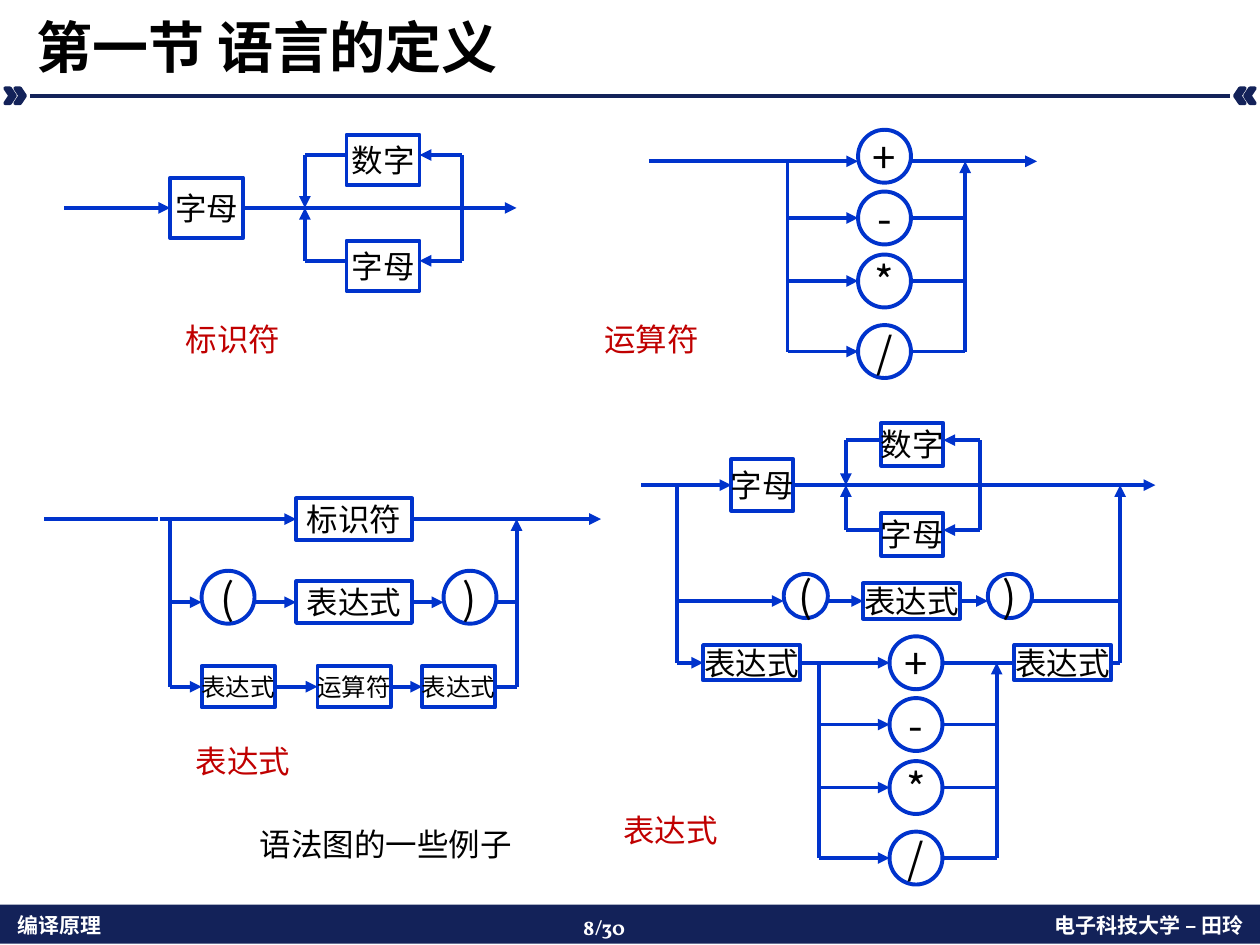
from dataclasses import dataclass

import lxml.etree
import pptx
import pptx.dml.color
import pptx.enum.shapes
import pptx.enum.text
import pptx.oxml.ns
import pptx.util

Inches = pptx.util.Inches
SHAPE = pptx.enum.shapes.MSO_SHAPE
ALIGN = pptx.enum.text.PP_ALIGN
ANCHOR = pptx.enum.text.MSO_ANCHOR
qn = pptx.oxml.ns.qn

SANS = "Noto Sans CJK SC"
NAVY, BLUE, RED, BLACK, WHITE = "132259", "0033CC", "C00000", "000000", "FFFFFF"


@dataclass
class Node:
    """A box or circle on a track; left is relative to the diagram."""
    text: str
    left: float
    width: float
    height: float
    size: int = 18
    kind: int = SHAPE.RECTANGLE
    lift: float = 0


def circle(text, left, diameter=0.42, lift=0.0):
    return Node(text, left, diameter, diameter, 24, SHAPE.OVAL, lift)


def rgb(value):
    return pptx.dml.color.RGBColor.from_string(value)


def write(frame, text, size=18, color=BLACK, bold=False, font=SANS,
          align=ALIGN.LEFT, anchor=ANCHOR.TOP, wrap=True, spacing=None):
    frame.word_wrap = wrap
    frame.auto_size = pptx.enum.text.MSO_AUTO_SIZE.NONE
    frame.vertical_anchor = anchor
    paragraph = frame.paragraphs[0]
    paragraph.alignment = align
    paragraph.line_spacing = spacing
    run = paragraph.add_run()
    run.text = text
    run.font.name = font
    run.font.size = pptx.util.Pt(size)
    run.font.bold = bold
    run.font.color.rgb = rgb(color)
    east_asian = lxml.etree.SubElement(run.font._element, qn("a:ea"))
    east_asian.set("typeface", font)


def add_text(slide, text, left, top, width, height, **style):
    area = slide.shapes.add_textbox(*map(Inches, (left, top, width, height)))
    write(area.text_frame, text, **style)


def add_outline(slide, kind, left, top, width, height,
                fill=None, line=None, weight=2.25):
    shape = slide.shapes.add_shape(
        kind, *map(Inches, (left, top, width, height)))
    shape.shadow.inherit = False
    for part, color in ((shape.fill, fill), (shape.line.fill, line)):
        if color:
            part.solid()
            part.fore_color.rgb = rgb(color)
        else:
            part.background()
    if line:
        shape.line.width = pptx.util.Pt(weight)
    return shape


def add_track(slide, *points, arrow=False, color=BLUE, weight=2.25):
    """Join the points by straight lines, with an arrowhead at the last."""
    for start, end in zip(points, points[1:]):
        track = slide.shapes.add_connector(
            pptx.enum.shapes.MSO_CONNECTOR.STRAIGHT,
            *map(Inches, (*start, *end)))
        track.line.color.rgb = rgb(color)
        track.line.width = pptx.util.Pt(weight)
        properties = track._element.spPr
        lxml.etree.SubElement(properties, qn("a:effectLst"))
        if arrow and end is points[-1]:
            head = lxml.etree.SubElement(track.line._get_or_add_ln(),
                                         qn("a:tailEnd"))
            head.set("type", "triangle")


def add_node(slide, node, left, y):
    shape = add_outline(slide, node.kind, left + node.left,
                        y - node.height / 2 - node.lift,
                        node.width, node.height, line=BLUE)
    write(shape.text_frame, node.text, size=node.size, align=ALIGN.CENTER,
          anchor=ANCHOR.MIDDLE, wrap=False)


def add_sequence(slide, left, y, start, nodes, end, arrow=False):
    """Place nodes along one row, each entered by an arrow."""
    x = left + start
    for node in nodes:
        add_track(slide, (x, y), (left + node.left, y), arrow=True)
        add_node(slide, node, left, y)
        x = left + node.left + node.width
    add_track(slide, (x, y), (left + end, y), arrow=arrow)


def add_identifier(slide, left, y, length, scale=1.0):
    """A letter followed by a loop of digits or letters."""
    letter = Node("字母", 0.84 * scale, 0.58 * scale, 0.48 * scale)
    add_sequence(slide, left, y, 0, [letter], length, arrow=True)
    join, branch = left + 1.91 * scale, left + 3.16 * scale
    box_left, box_width = 2.24 * scale, 0.58 * scale
    for text, rise in (("数字", -0.42), ("字母", 0.42)):
        row = y + rise * scale
        add_node(slide, Node(text, box_left, box_width, 0.4 * scale),
                 left, row + 0.04 * scale)
        add_track(slide, (branch, y), (branch, row),
                  (left + box_left + box_width, row), arrow=True)
        add_track(slide, (left + box_left, row), (join, row), (join, y),
                  arrow=True)


def add_operator_rows(slide, left, top, y):
    """The rows under the + circle, between a rail at left and one at right."""
    right = left + 1.41
    rows = [(top + drop, symbol)
            for drop, symbol in ((0.49, "-"), (0.99, "*"), (1.55, "/"))]
    bottom = rows[-1][0]
    add_track(slide, (left, y), (left, bottom))
    for row, symbol in rows:
        add_sequence(slide, left, row, 0, [circle(symbol, 0.56)], 1.41)
    add_track(slide, (right, bottom), (right, y), arrow=True)


def add_operators(slide, left, y):
    add_sequence(slide, left, y, 0, [circle("+", 1.66, lift=0.04)], 3.08,
                 arrow=True)
    add_operator_rows(slide, left + 1.1, y - 0.04, y)


def add_rails(slide, left, right, y, bottom):
    add_track(slide, (left, y), (left, bottom))
    add_track(slide, (right, bottom), (right, y), arrow=True)


def add_expression(slide, left, y):
    add_track(slide, (left, y), (left + 0.9, y))
    add_sequence(slide, left, y, 0.92, [Node("标识符", 2, 0.92, 0.33)], 4.42,
                 arrow=True)
    add_sequence(slide, left, y + 0.66, 1, [
        circle("(", 1.25, lift=0.04), Node("表达式", 2, 0.92, 0.33),
        circle(")", 3.17, lift=0.04)], 3.75)
    add_sequence(slide, left, y + 1.33, 1, [
        Node(text, x, 0.58, 0.33, 14) for text, x in
        (("表达式", 1.25), ("运算符", 2.17), ("表达式", 3))], 3.75)
    add_rails(slide, left + 1, left + 3.75, y, y + 1.33)


def add_expanded_expression(slide, left, y):
    """The expression with identifier and operator drawn out in full."""
    add_identifier(slide, left, y, 4.08, scale=0.85)
    add_sequence(slide, left, y + 0.92, 0.28, [
        circle("(", 1.13, 0.35, 0.04), Node("表达式", 1.76, 0.77, 0.28),
        circle(")", 2.75, 0.35, 0.04)], 3.8)
    row = y + 1.41
    first, last = (Node("表达式", x, 0.77, 0.28) for x in (0.49, 2.96))
    add_sequence(slide, left, row, 0.28, [first, circle("+", 1.97)], last.left)
    add_node(slide, last, left, row)
    add_track(slide, (left + 3.73, row), (left + 3.8, row))
    add_rails(slide, left + 0.28, left + 3.8, y, row)
    add_operator_rows(slide, left + 1.41, row, row)


def add_title(slide, text, left, top, width, height):
    title = slide.shapes.title
    title.left, title.top, title.width, title.height = map(
        Inches, (left, top, width, height))
    write(title.text_frame, text, size=32, bold=True, anchor=ANCHOR.BOTTOM,
          spacing=0.9)


def add_header_rule(slide, left, y, width):
    right = left + width
    for x, turn in ((left, 0), (left + 0.08, 0),
                    (right - 0.08, 180), (right - 0.16, 180)):
        chevron = add_outline(slide, SHAPE.CHEVRON, x, y - 0.06, 0.08, 0.12,
                              fill=NAVY, line=NAVY, weight=2)
        chevron.rotation = turn
    add_track(slide, (left + 0.2, y), (right - 0.2, y), color=NAVY, weight=2)


def add_footer(slide, left, top, width, height):
    add_outline(slide, SHAPE.RECTANGLE, left, top, width, height, fill=NAVY)
    style = dict(size=12, color=WHITE, bold=True)
    add_text(slide, "编译原理", left + 0.04, top + 0.01, 2.94, 0.3, **style)
    add_text(slide, "电子科技大学 – 田玲", left + width - 3.02, top + 0.01,
             2.99, 0.3, align=ALIGN.RIGHT, **style)
    add_text(slide, "8/30", left + 4.53, top + 0.03, 0.94, 0.3,
             font="Vollkorn", **style)


def main():
    deck = pptx.Presentation()
    deck.slide_width, deck.slide_height = Inches(10), Inches(7.5)
    slide = deck.slides.add_slide(deck.slide_layouts[5])
    add_footer(slide, 0, 7.18, 10, 0.31)
    add_header_rule(slide, 0.04, 0.76, 9.92)
    add_title(slide, "第一节 语言的定义", 0.19, 0.05, 9.61, 0.64)
    add_identifier(slide, 0.51, 1.65, 3.59)
    add_operators(slide, 5.15, 1.28)
    add_expression(slide, 0.35, 4.12)
    add_expanded_expression(slide, 5.09, 3.85)
    for text, left, top, width in (
            ("标识符", 1.22, 2.49, 1.26), ("运算符", 4.53, 2.49, 1.28),
            ("表达式", 1.22, 5.84, 1.42), ("表达式", 4.61, 6.39, 1.42)):
        add_text(slide, text, left, top, width, 0.4, color=RED,
                 align=ALIGN.CENTER)
    caption = add_outline(slide, SHAPE.ROUNDED_RECTANGLE,
                          1.94, 6.48, 2.67, 0.45)
    write(caption.text_frame, "语法图的一些例子")
    deck.save("out.pptx")


if __name__ == "__main__":
    main()
